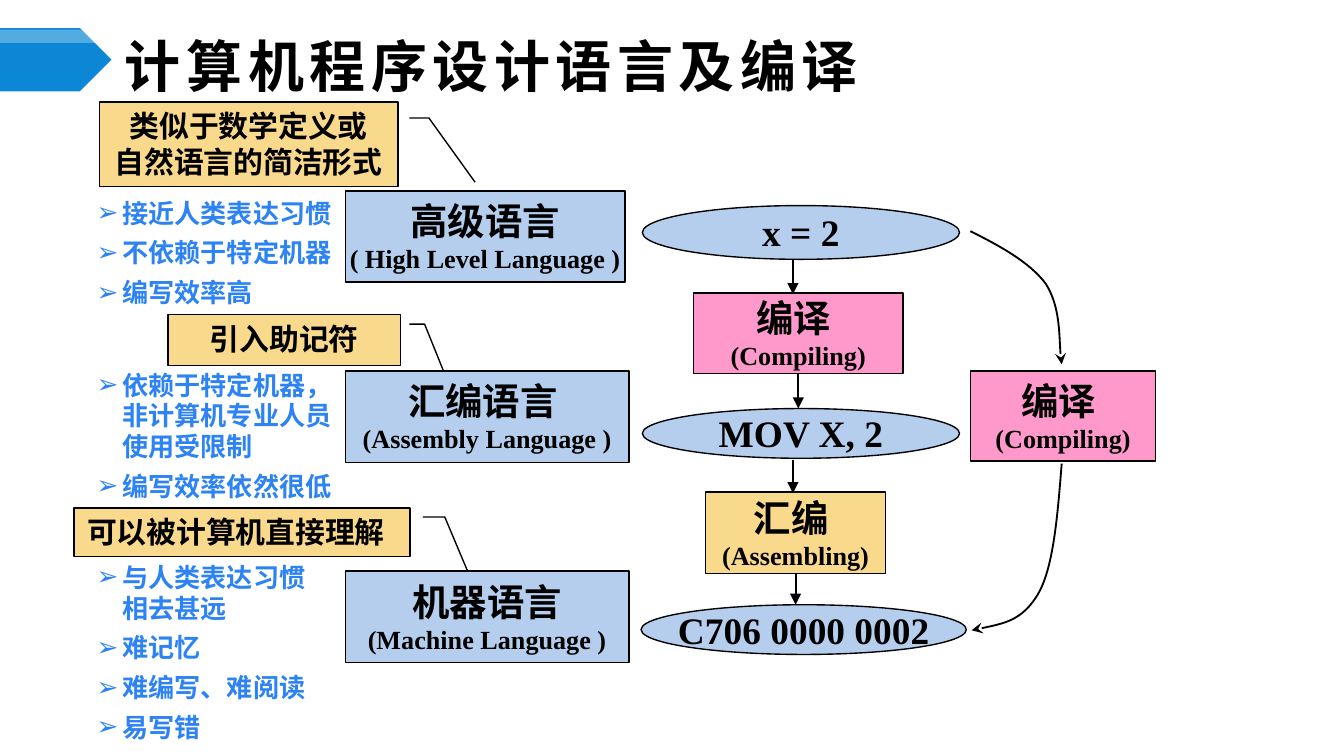
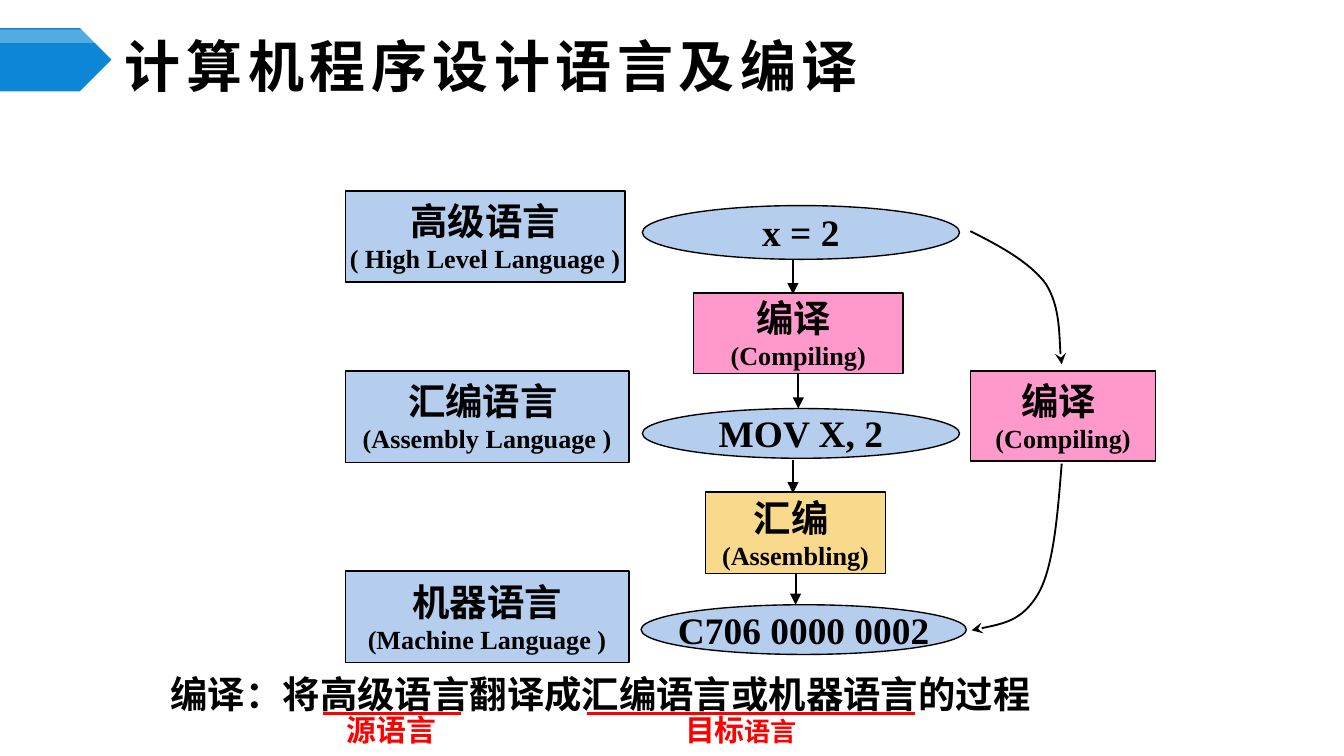
from dataclasses import dataclass

from lxml.etree import SubElement
from pptx import Presentation
from pptx.dml.color import RGBColor
from pptx.enum.shapes import MSO_CONNECTOR, MSO_SHAPE
from pptx.enum.text import MSO_ANCHOR, MSO_AUTO_SIZE, PP_ALIGN
from pptx.oxml.ns import qn
from pptx.util import Inches, Pt


@dataclass(frozen=True)
class Theme:
    black: str = "000000"
    white: str = "FFFFFF"
    red: str = "FF0000"
    blue: str = "B5CEED"
    pink: str = "FF99CC"
    yellow: str = "F9D98C"
    band: str = "0B87D6"
    bullet: str = "2D83F4"
    sans: str = "Noto Sans CJK SC"
    serif: str = "Times New Roman"
    latin: str = "Arial"
    title: int = 30
    large: int = 20
    medium: int = 16
    small: int = 14
    leading: float = 1.18
    outline: float = 0.75
    arrow: float = 1
    underline: float = 1.5


THEME = Theme()
TITLE = "计算机程序设计语言及编译"

# text, left, top, width, height, line adjustments, alignment
CALLOUTS = [
    (["引入助记符"], 1.25, 2.34, 1.73, 0.38, (1.385, 1.21), PP_ALIGN.CENTER),
    (["可以被计算机直接理解"], 0.55, 3.78, 2.5, 0.36, (1.951, 1.211), PP_ALIGN.LEFT),
    (["类似于数学定义或", "自然语言的简洁形式"], 0.74, 0.76, 2.22, 0.63,
     (0.947, 1.259), PP_ALIGN.CENTER),
]

# items, top, width, height, font
BULLET_LISTS = [
    (["接近人类表达习惯", "不依赖于特定机器", "编写效率高"], 1.42, 2.01, 0.95, THEME.sans),
    (["依赖于特定机器，非计算机专业人员使用受限制", "编写效率依然很低"],
     2.7, 2.05, 1.11, THEME.latin),
    (["与人类表达习惯相去甚远", "难记忆", "难编写、难阅读", "易写错"],
     4.13, 1.81, 1.49, THEME.sans),
]

LANGUAGES = [
    ("高级语言", "( High Level Language )", 1.42, 2.08),
    ("汇编语言 ", "(Assembly Language )", 2.76, 2.11),
    ("机器语言", "(Machine Language )", 4.25, 2.11),
]

CODE_SAMPLES = [
    ("x = 2", 4.78, 1.53, 2.36, 0.4),
    ("MOV X, 2", 4.78, 3.04, 2.36, 0.37),
    ("C706 0000 0002", 4.77, 4.5, 2.42, 0.37),
]

# start, then three points for each curve
CURVES = [
    [(7.22, 1.72), (7.44, 1.83), (7.66, 1.95), (7.78, 2.11),
     (7.89, 2.28), (7.88, 2.61), (7.9, 2.71)],
    [(7.9, 3.45), (7.87, 3.83), (7.84, 4.21), (7.73, 4.41),
     (7.61, 4.62), (7.42, 4.65), (7.23, 4.69)],
]


def color(value):
    return RGBColor.from_string(value)


def style_paragraph(para, size, font, text_color=THEME.black, align=PP_ALIGN.LEFT):
    """Format a paragraph; Chinese letters always take the sans font."""
    para.alignment = align
    para.line_spacing = Pt(round(size * THEME.leading, 1))
    para.font.size = Pt(size)
    para.font.bold = True
    para.font.color.rgb = color(text_color)
    para.font.name = font
    properties = para._p.pPr.find(qn("a:defRPr"))
    SubElement(properties, qn("a:ea")).set("typeface", THEME.sans)
    return properties


def write_lines(frame, lines, font, align=PP_ALIGN.LEFT, text_color=THEME.black):
    """Fill a text frame from (text, size) pairs, one paragraph each."""
    for index, (text, size) in enumerate(lines):
        para = frame.paragraphs[0] if index == 0 else frame.add_paragraph()
        para.text = text
        style_paragraph(para, size, font, text_color, align)


def add_filled(page, kind, left, top, width, height, fill, outlined=True):
    shape = page.shapes.add_shape(
        kind, Inches(left), Inches(top), Inches(width), Inches(height))
    shape.shadow.inherit = False
    shape.fill.solid()
    shape.fill.fore_color.rgb = color(fill)
    if outlined:
        shape.line.color.rgb = color(THEME.black)
        shape.line.width = Pt(THEME.outline)
    else:
        shape.line.fill.background()
    return shape


def add_label(page, kind, left, top, width, height, fill, lines):
    shape = add_filled(page, kind, left, top, width, height, fill)
    shape.text_frame.word_wrap = False
    shape.text_frame.vertical_anchor = MSO_ANCHOR.MIDDLE
    write_lines(shape.text_frame, lines, THEME.serif, PP_ALIGN.CENTER)
    return shape


def add_step(page, name, english, left, top, width, height, fill):
    return add_label(page, MSO_SHAPE.RECTANGLE, left, top, width, height, fill,
                     [(name, THEME.large), (english, THEME.small)])


def add_callout(page, lines, left, top, width, height, line_end, align):
    shape = add_filled(page, MSO_SHAPE.LINE_CALLOUT_2, left, top, width, height,
                       THEME.yellow)
    for index, value in enumerate((0.188, 1.039, 0.188, 1.104, *line_end)):
        shape.adjustments[index] = value
    shape.text_frame.word_wrap = True
    shape.text_frame.vertical_anchor = MSO_ANCHOR.TOP
    write_lines(shape.text_frame, [(line, THEME.medium) for line in lines],
                THEME.sans, align)


def add_text_box(page, left, top, width, height, wrap=False):
    box = page.shapes.add_textbox(
        Inches(left), Inches(top), Inches(width), Inches(height))
    box.text_frame.word_wrap = wrap
    return box.text_frame


def add_bullets(page, items, top, width, height, font):
    frame = add_text_box(page, 0.62, top, width, height, wrap=True)
    for index, item in enumerate(items):
        para = frame.paragraphs[0] if index == 0 else frame.add_paragraph()
        para.text = item
        if index:
            para.space_before = Pt(4.8)
        properties = para._p.get_or_add_pPr()
        properties.set("marL", str(Inches(0.19)))
        properties.set("indent", str(-Inches(0.19)))
        SubElement(properties, qn("a:buFont")).set("typeface", THEME.latin)
        SubElement(properties, qn("a:buChar")).set("char", "➢")
        style_paragraph(para, THEME.small, font, THEME.bullet)


def add_arrowhead(line, kind):
    SubElement(line.line._get_or_add_ln(), qn("a:tailEnd")).set("type", kind)


def add_line(page, start, end, line_color, width):
    line = page.shapes.add_connector(
        MSO_CONNECTOR.STRAIGHT, *(Inches(value) for value in (*start, *end)))
    line.line.color.rgb = color(line_color)
    line.line.width = Pt(width)
    SubElement(line._element.spPr, qn("a:effectLst"))
    return line


def add_arrow(page, x, top, bottom):
    arrow = add_line(page, (x, top), (x, bottom), THEME.black, THEME.arrow)
    add_arrowhead(arrow, "triangle")
    return arrow


def add_curved_arrow(page, points):
    """Draw an outline through the points, then bend each three segments into a curve."""
    start, *others = [(Inches(x), Inches(y)) for x, y in points]
    builder = page.shapes.build_freeform(*start)
    builder.add_line_segments(others, close=False)
    curve = builder.convert_to_shape()
    curve.shadow.inherit = False
    curve.fill.background()
    curve.line.color.rgb = color(THEME.black)
    curve.line.width = Pt(THEME.arrow)
    add_arrowhead(curve, "stealth")
    outline = next(curve._element.iter(qn("a:path")))
    segments = outline.findall(qn("a:lnTo"))
    for first in range(0, len(segments), 3):
        bend = SubElement(outline, qn("a:cubicBezTo"))
        for segment in segments[first:first + 3]:
            bend.append(segment[0])
            outline.remove(segment)


def add_page(deck):
    page = deck.slides.add_slide(deck.slide_layouts[5])
    title = page.shapes.title
    title.left, title.top = Inches(0.83), Inches(0.29)
    title.width, title.height = Inches(8.67), Inches(0.39)
    frame = title.text_frame
    frame.text = TITLE
    frame.auto_size = MSO_AUTO_SIZE.NONE
    frame.vertical_anchor = MSO_ANCHOR.MIDDLE
    style_paragraph(frame.paragraphs[0], THEME.title, THEME.sans).set("spc", "300")

    add_filled(page, MSO_SHAPE.PENTAGON, 0, 0.21, 0.83, 0.47, THEME.band, outlined=False)
    gloss = add_filled(page, MSO_SHAPE.PENTAGON, 0, 0.22, 0.83, 0.1, THEME.white,
                       outlined=False)
    tint = next(gloss._element.spPr.iter(qn("a:srgbClr")))
    SubElement(tint, qn("a:alpha")).set("val", "30000")
    return page


def add_compile_flow(page):
    for name, english, top, width in LANGUAGES:
        add_step(page, name, english, 2.57, top, width, 0.68, THEME.blue)
    compiling = add_step(page, "编译 ", "(Compiling)", 5.16, 2.18, 1.56, 0.6, THEME.pink)
    assembling = add_step(page, "汇编 ", "(Assembling)", 5.25, 3.66, 1.34, 0.61,
                          THEME.yellow)
    add_step(page, "编译 ", "(Compiling)", 7.22, 2.76, 1.38, 0.67, THEME.pink)
    for code, *place in CODE_SAMPLES:
        add_label(page, MSO_SHAPE.OVAL, *place, THEME.blue, [(code, THEME.large)])

    add_arrow(page, 5.9, 1.93, 2.19)
    add_arrow(page, 5.94, 2.78, 3.04).begin_connect(compiling, 2)
    add_arrow(page, 5.9, 3.42, 3.67)
    add_arrow(page, 5.92, 4.27, 4.5).begin_connect(assembling, 2)
    for points in CURVES:
        add_curved_arrow(page, points)


def add_definition(page):
    frame = add_text_box(page, 1.17, 4.95, 6.65, 0.44)
    write_lines(frame, [("编译：将高级语言翻译成汇编语言或机器语言的过程", THEME.large)], THEME.sans)
    for left, right in ((2.4, 3.43), (4.37, 6.81)):
        add_line(page, (left, 5.31), (right, 5.31), THEME.red, THEME.underline)

    source = add_text_box(page, 2.48, 5.25, 0.88, 0.37)
    write_lines(source, [("源语言", THEME.medium)], THEME.serif, text_color=THEME.red)
    target = add_text_box(page, 5, 5.25, 1.04, 0.37)
    write_lines(target, [("目标", THEME.medium)], THEME.serif, text_color=THEME.red)
    span = target.paragraphs[0].add_run()
    span.text = "语言"
    span.font.size = Pt(THEME.small)


def main():
    deck = Presentation()
    deck.slide_width = Inches(10)
    deck.slide_height = deck.slide_width * 9 // 16

    languages = add_page(deck)
    for callout in CALLOUTS:
        add_callout(languages, *callout)
    for bullet_list in BULLET_LISTS:
        add_bullets(languages, *bullet_list)
    add_compile_flow(languages)

    definition = add_page(deck)
    add_compile_flow(definition)
    add_definition(definition)

    deck.save("out.pptx")


if __name__ == "__main__":
    main()
